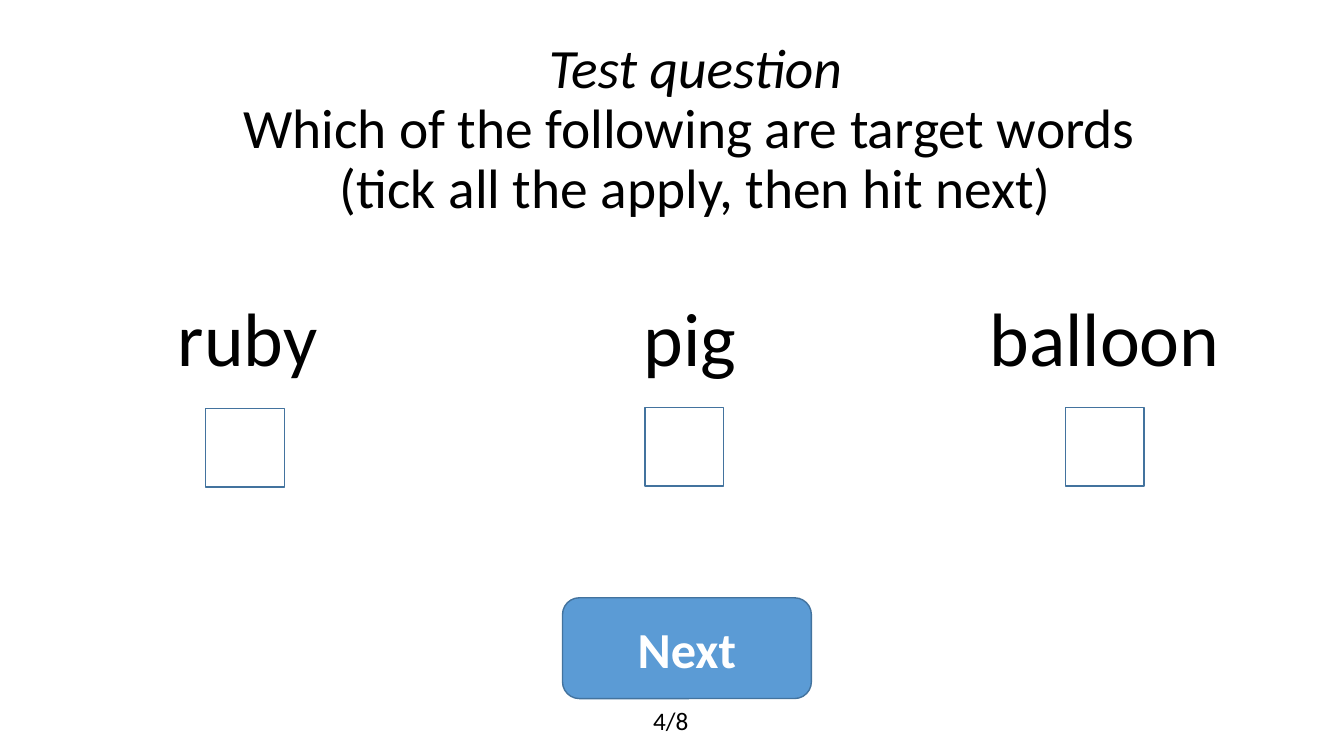
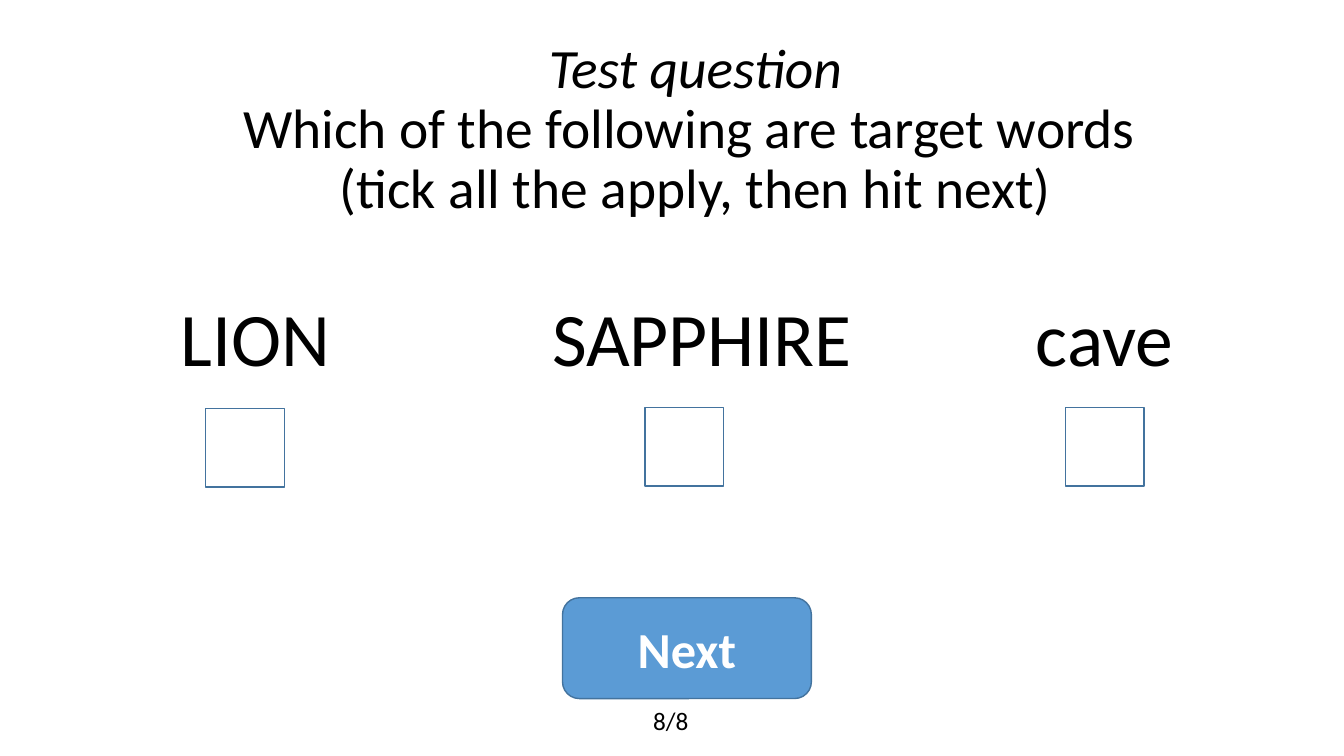
from pptx import Presentation
from pptx.dml.color import RGBColor
from pptx.enum import shapes, text
from pptx.util import Pt

COLORS = {"text": "000000", "button": "5B9BD5", "outline": "43739E", "button_text": "FFFFFF"}
FONT = "Calibri"
CENTER, LEFT = text.PP_ALIGN.CENTER, text.PP_ALIGN.LEFT
TOP, MIDDLE = text.MSO_ANCHOR.TOP, text.MSO_ANCHOR.MIDDLE

TITLE = [
    ("Test question", True),
    ("Which of the following are target words ", False),
    ("(tick all the apply, then hit next)", False),
]
# Each question: page label, then (word, centre of the word) from left to right
QUESTIONS = [
    ("4/8", [("ruby", 177), ("pig", 493), ("balloon", 789)]),
    ("8/8", [("LION", 182.5), ("SAPPHIRE", 501.5), ("cave", 789)]),
]
CHECKBOXES = [(147, 291.6), (460.8, 291), (761, 291)]
CHECKBOX_SIZE = 56.2
WORD_WIDTH = 270


def write(sp, lines, size, color="text", align=CENTER, anchor=TOP, bold=False, spacing=1.0):
    """Fill a shape with one paragraph of (line, italic) pairs."""
    tf = sp.text_frame
    tf.word_wrap = True
    tf.vertical_anchor = anchor
    p = tf.paragraphs[0]
    p.alignment = align
    p.line_spacing = spacing
    for i, (line, italic) in enumerate(lines):
        if i:
            p.add_line_break()
        r = p.add_run()
        r.text = line
        fmt = {"name": FONT, "size": Pt(size), "bold": bold, "italic": italic}
        for name, value in fmt.items():
            setattr(r.font, name, value)
        r.font.color.rgb = RGBColor.from_string(COLORS[color])


def outlined(s, kind, left, top, width, height, fill=None):
    """Add a thinly outlined shape, hollow unless a fill is named."""
    sp = s.shapes.add_shape(kind, Pt(left), Pt(top), Pt(width), Pt(height))
    sp.shadow.inherit = False
    if fill:
        sp.fill.solid()
        sp.fill.fore_color.rgb = RGBColor.from_string(COLORS[fill])
    else:
        sp.fill.background()
    sp.line.color.rgb = RGBColor.from_string(COLORS["outline"])
    sp.line.width = Pt(1)
    return sp


prs = Presentation()
prs.slide_width, prs.slide_height = Pt(960), Pt(540)

for page, words in QUESTIONS:
    s = prs.slides.add_slide(prs.slide_layouts[6])

    # Answer words
    for word, center in words:
        sp = s.shapes.add_textbox(Pt(center - WORD_WIDTH / 2), Pt(204.5), Pt(WORD_WIDTH), Pt(72.7))
        write(sp, [(word, False)], 54)

    # Checkboxes
    for left, top in CHECKBOXES:
        outlined(s, shapes.MSO_SHAPE.RECTANGLE, left, top, CHECKBOX_SIZE, CHECKBOX_SIZE)

    # Question title
    sp = s.shapes.add_textbox(Pt(82.8), Pt(41), Pt(828), Pt(104.4))
    write(sp, TITLE, 39.6, anchor=MIDDLE, spacing=0.9)

    # Next button
    sp = outlined(s, shapes.MSO_SHAPE.ROUNDED_RECTANGLE, 401.8, 427, 177.8, 72, "button")
    write(sp, [("Next", False)], 36, "button_text", anchor=MIDDLE, bold=True)

    # Page label
    sp = s.shapes.add_textbox(Pt(459.4), Pt(500.4), Pt(72.7), Pt(29))
    write(sp, [(page, False)], 18, align=LEFT)

prs.save("out.pptx")
